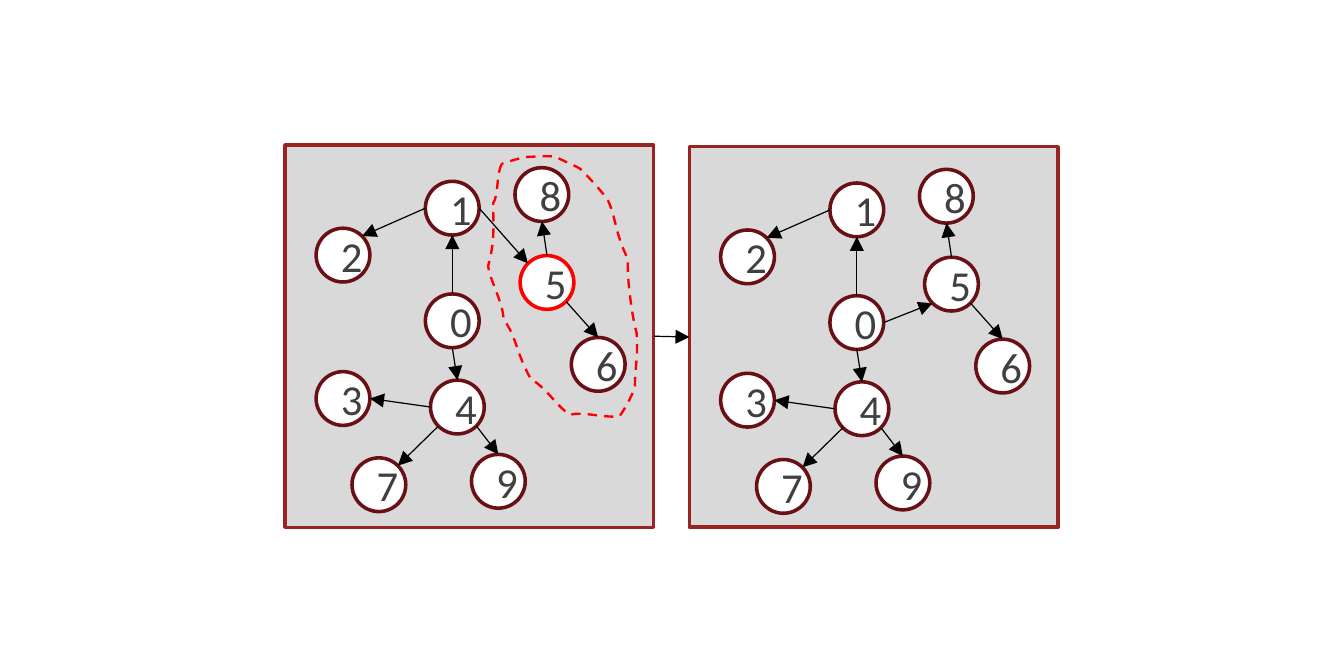
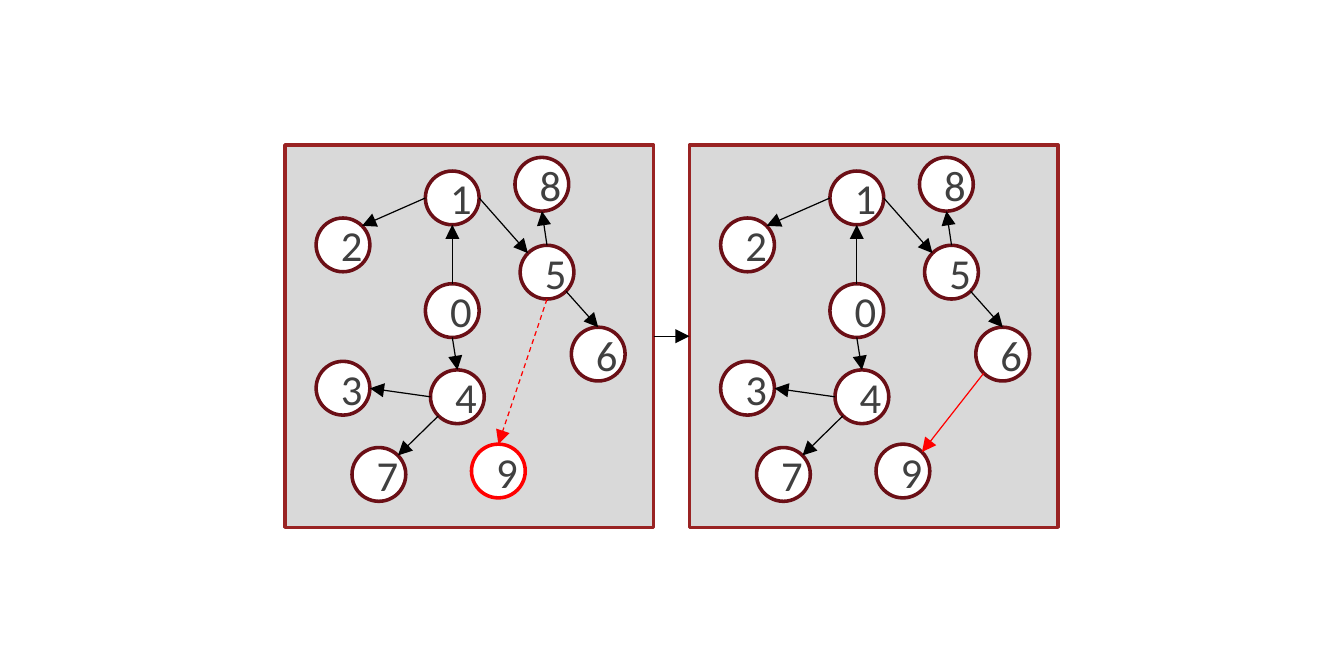
from pptx import Presentation
from pptx.dml.color import RGBColor
from pptx.enum.dml import MSO_LINE
from pptx.enum.shapes import MSO_CONNECTOR, MSO_SHAPE
from pptx.enum.text import MSO_ANCHOR, PP_ALIGN
from pptx.oxml.ns import qn
from pptx.oxml.xmlchemy import OxmlElement
from pptx.util import Cm, Inches, Pt

# Places and lengths count columns and rows of a fine grid.
STEP = Inches(0.01)
PANEL_LEFTS = (167, 404)
PANEL_WIDTH, PANEL_BOTTOM = 216, 309
HUB_COLUMN = 98
DIAMETER = 31.5

RED, BLACK, WHITE = "FF0000", "000000", "FFFFFF"
PANEL_FILL, PANEL_BORDER = "D9D9D9", "992323"
NODE_BORDER, DIGIT_COLOR = "6B0F16", "404040"
DIGIT_FONT = {"name": "Calibri", "size": Pt(18)}

# Node centres, counted from node 0
NODES = {
    0: (0, 0), 2: (-64, -38.5), 3: (-64, 45.5), 1: (0, -66), 5: (55.5, -22.5),
    4: (3, 50.5), 6: (85.5, 25.5), 7: (-43, 96), 8: (52.5, -74), 9: (27, 94),
}

# Compass points on a node's rim, as shares of its radius
RIM = {
    "N": (0, -1), "E": (1, 0), "S": (0, 1), "W": (-1, 0),
    "NE": (0.71, -0.71), "NW": (-0.71, -0.71),
    "SE": (0.71, 0.71), "SW": (-0.71, 0.71),
}

# Parent, child, and the rim points where the edge leaves and arrives
STABLE_EDGES = [
    (0, 1, "N", "S"), (1, 2, "W", "NE"), (5, 8, "N", "S"), (0, 4, "S", "N"),
    (4, 3, "W", "E"), (4, 7, "SW", "NE"), (5, 6, "SE", "N"),
]
EDGE_1_5 = (1, 5, "E", "NW")
EDGE_4_9 = (4, 9, "SE", "N")
EDGE_0_5 = (0, 5, "E", "SW")
EDGE_5_9 = (5, 9, "S", "N")
EDGE_6_9 = (6, 9, "SW", "NE")

# Closed curve round the moved subtree: start, then two controls and an end per arc
SUBTREE_START = (294, 96)
SUBTREE_ARCS = [
    (291, 101), (292, 115), (289, 119), (289, 135), (290, 141), (286, 156),
    (287, 164), (295, 178), (295, 187), (303, 198), (302, 206), (311, 222),
    (321, 228), (326, 238), (334, 243), (341, 241), (354, 245), (363, 244),
    (367, 238), (371, 231), (372, 226), (372, 216), (374, 209), (373, 195),
    (371, 189), (367, 163), (368, 152), (360, 136), (361, 127), (356, 117),
    (350, 109), (343, 102), (340, 99), (337, 97), (329, 94), (326, 92),
    (321, 91), (312, 92), (309, 92), (303, 93), (297, 95), (294, 96),
]

# Each slide: row of node 0 inside a panel, then the before and after panels
SLIDES = [
    {"hub_row": 103, "panels": [
        {"top": 85, "edges": [EDGE_1_5, EDGE_4_9], "red_node": 5, "subtree": True},
        {"top": 86, "edges": [EDGE_0_5, EDGE_4_9]},
    ]},
    {"hub_row": 97, "panels": [
        {"top": 85, "edges": [EDGE_1_5, EDGE_5_9], "red_node": 9,
         "red_edge": EDGE_5_9, "dashed": True},
        {"top": 85, "edges": [EDGE_1_5, EDGE_6_9], "red_edge": EDGE_6_9},
    ]},
]


def paint(fill, color):
    """Make a shape, line or font fill solid in a hex colour."""
    fill.solid()
    fill.fore_color.rgb = RGBColor.from_string(color)


def add_arrow(shapes, start, end, color=BLACK, dashed=False):
    """Draw a thin arrow between two grid points."""
    ends = [int(STEP * value) for value in (*start, *end)]
    arrow = shapes.add_connector(MSO_CONNECTOR.STRAIGHT, *ends)
    paint(arrow.line.fill, color)
    arrow.line.width = Pt(0.5)
    if dashed:
        arrow.line.dash_style = MSO_LINE.DASH
    properties = arrow._element.spPr
    head = OxmlElement("a:tailEnd")
    head.set("type", "triangle")
    properties.find(qn("a:ln")).append(head)
    properties.append(OxmlElement("a:effectLst"))


deck = Presentation()
deck.slide_width, deck.slide_height = Cm(20), Cm(10)
blank_layout = deck.slide_layouts[6]

for scene in SLIDES:
    slide = deck.slides.add_slide(blank_layout)

    for left, panel in zip(PANEL_LEFTS, scene["panels"]):
        tree = slide.shapes.add_group_shape().shapes
        frame = tree.add_shape(
            MSO_SHAPE.RECTANGLE, left * STEP, panel["top"] * STEP,
            PANEL_WIDTH * STEP, (PANEL_BOTTOM - panel["top"]) * STEP)
        frame.shadow.inherit = False
        paint(frame.fill, PANEL_FILL)
        paint(frame.line.fill, PANEL_BORDER)
        frame.line.width = Pt(1.5)

        if panel.get("subtree"):
            builder = tree.build_freeform(*SUBTREE_START, scale=STEP)
            builder.add_line_segments(SUBTREE_ARCS, close=True)
            subtree = builder.convert_to_shape()
            corners = list(subtree._element.iter(qn("a:lnTo")))
            for arc, second, end in zip(corners[::3], corners[1::3], corners[2::3]):
                arc.tag = qn("a:cubicBezTo")
                for corner in (second, end):
                    arc.append(corner[0])
                    corner.getparent().remove(corner)
            subtree.shadow.inherit = False
            subtree.fill.background()
            paint(subtree.line.fill, RED)
            subtree.line.width = Pt(1)
            subtree.line.dash_style = MSO_LINE.DASH

        hub_x = left + HUB_COLUMN
        hub_y = panel["top"] + scene["hub_row"]
        for digit, (dx, dy) in NODES.items():
            corner_x, corner_y = hub_x + dx - DIAMETER / 2, hub_y + dy - DIAMETER / 2
            node = tree.add_shape(
                MSO_SHAPE.OVAL,
                *(int(STEP * value) for value in (corner_x, corner_y, DIAMETER, DIAMETER)))
            node.shadow.inherit = False
            paint(node.fill, WHITE)
            paint(node.line.fill, RED if digit == panel.get("red_node") else NODE_BORDER)
            node.line.width = Pt(1.5)
            node.text_frame.vertical_anchor = MSO_ANCHOR.MIDDLE
            label = node.text_frame.paragraphs[0]
            label.alignment = PP_ALIGN.CENTER
            run = label.add_run()
            run.text = str(digit)
            paint(run.font.fill, DIGIT_COLOR)
            for attribute, value in DIGIT_FONT.items():
                setattr(run.font, attribute, value)

        for edge in STABLE_EDGES + panel["edges"]:
            parent, child, leaving, arriving = edge
            start, end = (
                (hub_x + NODES[digit][0] + RIM[side][0] * DIAMETER / 2,
                 hub_y + NODES[digit][1] + RIM[side][1] * DIAMETER / 2)
                for digit, side in ((parent, leaving), (child, arriving)))
            is_red = edge == panel.get("red_edge")
            add_arrow(tree, start, end, RED if is_red else BLACK,
                      is_red and panel.get("dashed", False))

    before, after = ((panel["top"] + PANEL_BOTTOM) / 2 for panel in scene["panels"])
    add_arrow(slide.shapes, (PANEL_LEFTS[0] + PANEL_WIDTH, before),
              (PANEL_LEFTS[1], after))

deck.save("out.pptx")
